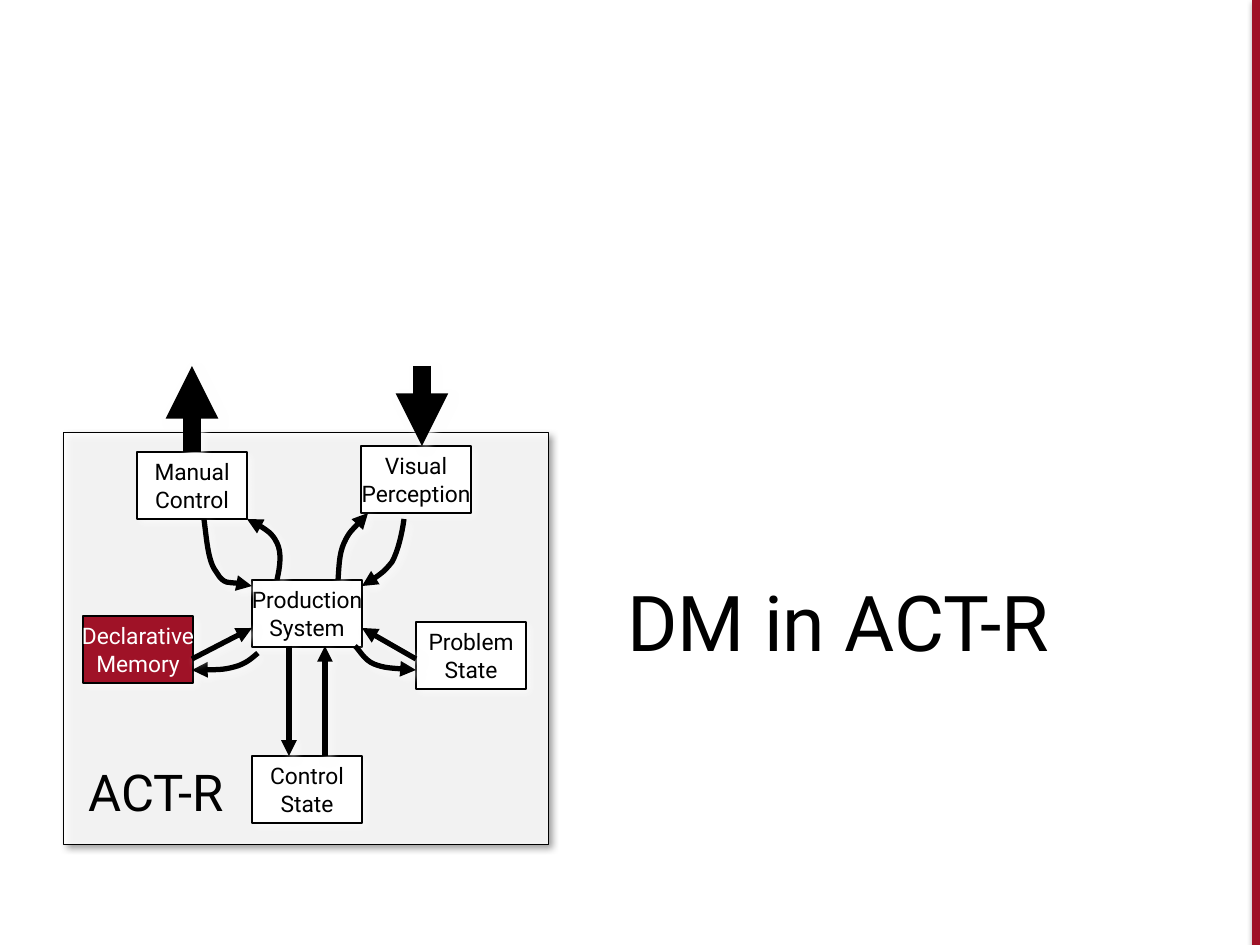
from lxml.etree import SubElement
from pptx import Presentation
from pptx.dml.color import RGBColor as RGB
from pptx.enum.shapes import MSO_CONNECTOR as LINK, MSO_SHAPE as SHAPE
from pptx.enum.text import MSO_ANCHOR as ANCHOR, PP_ALIGN as ALIGN
from pptx.oxml.ns import qn
from pptx.util import Emu, Pt

PX = 914400 / 126
COLORS = {"ink": "000000", "paper": "FFFFFF", "accent": "9F1227"}
GLOW = ("paper", 75, 5, 3, 45)


def style_outline(item, color, width, shadow, arrow=False):
    item.line.color.rgb = RGB.from_string(COLORS[color])
    item.line.width = Pt(width)
    properties = item._element.spPr
    if arrow:
        SubElement(properties.find(qn("a:ln")), qn("a:tailEnd"), type="triangle")
    tone, alpha, blur, distance, angle = shadow
    effects = SubElement(properties, qn("a:effectLst"))
    outer = SubElement(effects, qn("a:outerShdw"), blurRad=str(Pt(blur)),
                       dist=str(Pt(distance)), dir=str(angle * 60000),
                       algn="ctr", rotWithShape="0")
    shade = SubElement(outer, qn("a:srgbClr"), val=COLORS[tone])
    SubElement(shade, qn("a:alpha"), val=str(alpha * 1000))


def write_text(frame, lines, size, color="ink"):
    frame.vertical_anchor = ANCHOR.MIDDLE
    for index, line in enumerate(lines):
        para = frame.add_paragraph() if index else frame.paragraphs[0]
        para.alignment = ALIGN.CENTER
        span = para.add_run()
        span.text = line
        for name, value in {"name": "Roboto", "size": Pt(size)}.items():
            setattr(span.font, name, value)
        span.font.color.rgb = RGB.from_string(COLORS[color])


deck = Presentation()
deck.slide_width, deck.slide_height = Emu(round(1260 * PX)), Emu(round(945 * PX))
page = deck.slides.add_slide(deck.slide_layouts[0])
subtitle = page.placeholders[1]._element
subtitle.getparent().remove(subtitle)

edge = page.shapes.add_connector(
    LINK.STRAIGHT, *[Emu(round(n * PX)) for n in (1256, 945, 1256, 0)])
style_outline(edge, "accent", 5, ("ink", 38, 3.1, 1.6, 90))

title = page.shapes.title
title_place = {"left": 548, "top": 519, "width": 581, "height": 203}
for name, value in title_place.items():
    setattr(title, name, Emu(round(value * PX)))
write_text(title.text_frame, ["DM in ACT-R"], 44)

panel = page.shapes.add_shape(
    SHAPE.RECTANGLE, *[Emu(round(n * PX)) for n in (63, 432, 485, 412)])
panel.fill.solid()
panel.fill.fore_color.rgb = RGB.from_string(COLORS["paper"])
panel_color = panel._element.spPr.find(qn("a:solidFill"))[0]
SubElement(panel_color, qn("a:alpha"), val="88000")
style_outline(panel, "ink", 0.25, ("ink", 43, 4, 3, 45))

modules = [
    ("Manual Control", 137, 452, "paper", "ink"),
    ("Problem State", 416, 622, "paper", "ink"),
    ("Declarative Memory", 83, 616, "accent", "paper"),
    ("Visual Perception", 361, 446, "paper", "ink"),
    ("Control State", 252, 756, "paper", "ink"),
    ("Production System", 252, 580, "paper", "ink"),
]
boxes = {}
for label, left, top, fill, ink in modules:
    box = page.shapes.add_shape(
        SHAPE.RECTANGLE, *[Emu(round(n * PX)) for n in (left, top, 110, 67)])
    box.fill.solid()
    box.fill.fore_color.rgb = RGB.from_string(COLORS[fill])
    style_outline(box, "ink", 0.75, GLOW)
    box.text_frame.word_wrap = False
    write_text(box.text_frame, label.split(), 13, ink)
    boxes[label] = box

curves = [
    [(338, 580), (339, 567), (339, 554), (344, 543), (349, 532), (359, 523), (368, 513)],
    [(404, 519), (402, 534), (398, 551), (392, 562), (384, 572), (373, 580), (362, 586)],
    [(258, 653), (252, 658), (246, 664), (234, 667), (223, 670), (199, 670), (192, 670)],
    [(355, 646), (359, 649), (364, 660), (374, 664), (384, 668), (401, 669), (416, 670)],
    [(204, 519), (207, 541), (208, 562), (217, 573), (224, 585), (247, 583), (252, 586)],
    [(277, 580), (280, 567), (282, 553), (277, 543), (272, 533), (260, 525), (247, 519)],
]
for start, *controls in curves:
    builder = page.shapes.build_freeform(*start, scale=PX)
    builder.add_line_segments(controls, close=False)
    curve = builder.convert_to_shape()
    segments = list(curve._element.iter(qn("a:lnTo")))
    outline = segments[0].getparent()
    for first in range(0, len(segments), 3):
        bezier = SubElement(outline, qn("a:cubicBezTo"))
        for segment in segments[first:first + 3]:
            bezier.append(segment[0])
            outline.remove(segment)
    curve.fill.background()
    style_outline(curve, "ink", 3, GLOW, arrow=True)

arrows = [
    (289, 646, 289, 756, 3),
    (325, 756, 325, 646, 3),
    (192, 659, 252, 628, 3),
    (416, 659, 362, 628, 3),
    (422, 366, 422, 446, 10),
    (192, 452, 192, 366, 10),
]
for *ends, width in arrows:
    arrow = page.shapes.add_connector(
        LINK.STRAIGHT, *[Emu(round(n * PX)) for n in ends])
    style_outline(arrow, "ink", width, GLOW, arrow=True)
    if ends[:2] == [192, 452]:
        arrow.begin_connect(boxes["Manual Control"], 0)

caption = page.shapes.add_textbox(*[Emu(round(n * PX)) for n in (66, 756, 180, 71)])
caption.text_frame.word_wrap = True
write_text(caption.text_frame, ["ACT-R"], 29)

deck.save("out.pptx")
